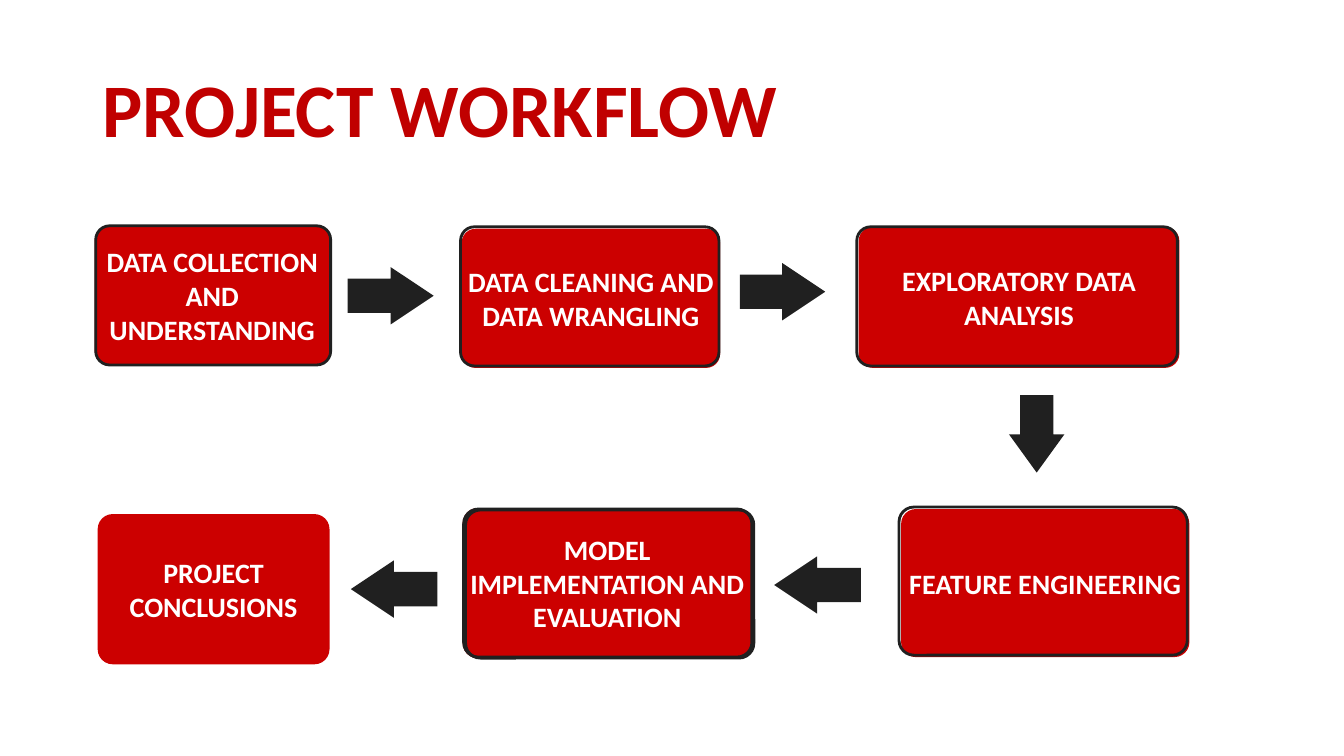
import pptx
import pptx.util
import pptx.dml.color
import pptx.enum.shapes
import pptx.enum.text

Pt = pptx.util.Pt
SHAPE = pptx.enum.shapes.MSO_SHAPE
ALIGN = pptx.enum.text.PP_ALIGN
MIDDLE = pptx.enum.text.MSO_ANCHOR.MIDDLE

COLORS = {"title": "C00000", "step": "CC0000", "dark": "202020", "text": "FFFFFF"}
FONT = "Calibri"
TITLE = "PROJECT WORKFLOW"
TITLE_BOX = (66.2, 28.8, 828, 104.4)

STEPS = [
    ("DATA COLLECTION AND UNDERSTANDING", (67.7, 161.3, 167.8, 99.4),
     [(68.4, 161.3, 167.8, 99.4)]),
    ("DATA CLEANING AND DATA WRANGLING", (329.8, 163.4, 184.6, 99.4),
     [(329, 162, 184.6, 99.4)]),
    ("EXPLORATORY DATA ANALYSIS", (613.4, 162, 229, 100.8),
     [(612, 162, 229, 99.4)]),
    ("FEATURE ENGINEERING", (643.7, 363.6, 205.9, 105.8),
     [(642.2, 362.2, 205.9, 105.8)]),
    ("MODEL IMPLEMENTATION AND EVALUATION", (330.5, 362.9, 206.6, 107.3),
     [(331.2, 363.6, 205.9, 105.8), (332.6, 364.3, 205.9, 105.8)]),
    ("PROJECT CONCLUSIONS", (69.8, 367.2, 165.6, 107.3), []),
]

ARROWS = [
    (SHAPE.RIGHT_ARROW, (248.4, 190.8, 61.4, 41)),
    (SHAPE.RIGHT_ARROW, (528.5, 187.9, 61, 41)),
    (SHAPE.DOWN_ARROW, (720.7, 282.2, 39.6, 55.4)),
    (SHAPE.LEFT_ARROW, (553, 397.4, 61.9, 41)),
    (SHAPE.LEFT_ARROW, (250.6, 400.3, 61.9, 41)),
]
CORNER = 0.1
SHAFT = 0.6


def rgb(name):
    return pptx.dml.color.RGBColor.from_string(COLORS[name])


def style_text(tf, text, size, color, align):
    tf.text = text
    tf.word_wrap = True
    tf.auto_size = pptx.enum.text.MSO_AUTO_SIZE.NONE
    tf.vertical_anchor = MIDDLE
    p = tf.paragraphs[0]
    p.alignment = align
    font = p.runs[0].font
    font.name, font.size, font.bold = FONT, Pt(size), True
    font.color.rgb = rgb(color)
    return p


def add_shape(slide, kind, box, adjustments, fill=None, line=None):
    sp = slide.shapes.add_shape(kind, *map(Pt, box))
    sp.shadow.inherit = False
    for i, value in enumerate(adjustments):
        sp.adjustments[i] = value
    if fill:
        sp.fill.solid()
        sp.fill.fore_color.rgb = rgb(fill)
    else:
        sp.fill.background()
    if line:
        sp.line.color.rgb = rgb(line)
        sp.line.width = Pt(2)
    else:
        sp.line.fill.background()
    return sp


def add_step(slide, text, box, outlines):
    sp = add_shape(slide, SHAPE.ROUNDED_RECTANGLE, box, [CORNER], fill="step")
    tf = sp.text_frame
    tf.margin_left = tf.margin_right = tf.margin_top = tf.margin_bottom = 0
    style_text(tf, text, 20, "text", ALIGN.CENTER)
    for outline in outlines:
        add_shape(slide, SHAPE.ROUNDED_RECTANGLE, outline, [CORNER], line="dark")


def add_arrow(slide, kind, box):
    head = 0.69 if kind == SHAPE.DOWN_ARROW else 0.75
    add_shape(slide, kind, box, [SHAFT, head], fill="dark")


def main():
    prs = pptx.Presentation()
    prs.slide_width, prs.slide_height = Pt(960), Pt(540)
    slide = prs.slides.add_slide(prs.slide_layouts[5])
    title = slide.shapes.title
    title.left, title.top, title.width, title.height = map(Pt, TITLE_BOX)
    p = style_text(title.text_frame, TITLE, 54, "title", ALIGN.LEFT)
    p.line_spacing = 0.9
    for step in STEPS:
        add_step(slide, *step)
    for arrow in ARROWS:
        add_arrow(slide, *arrow)
    prs.save("out.pptx")


if __name__ == "__main__":
    main()
